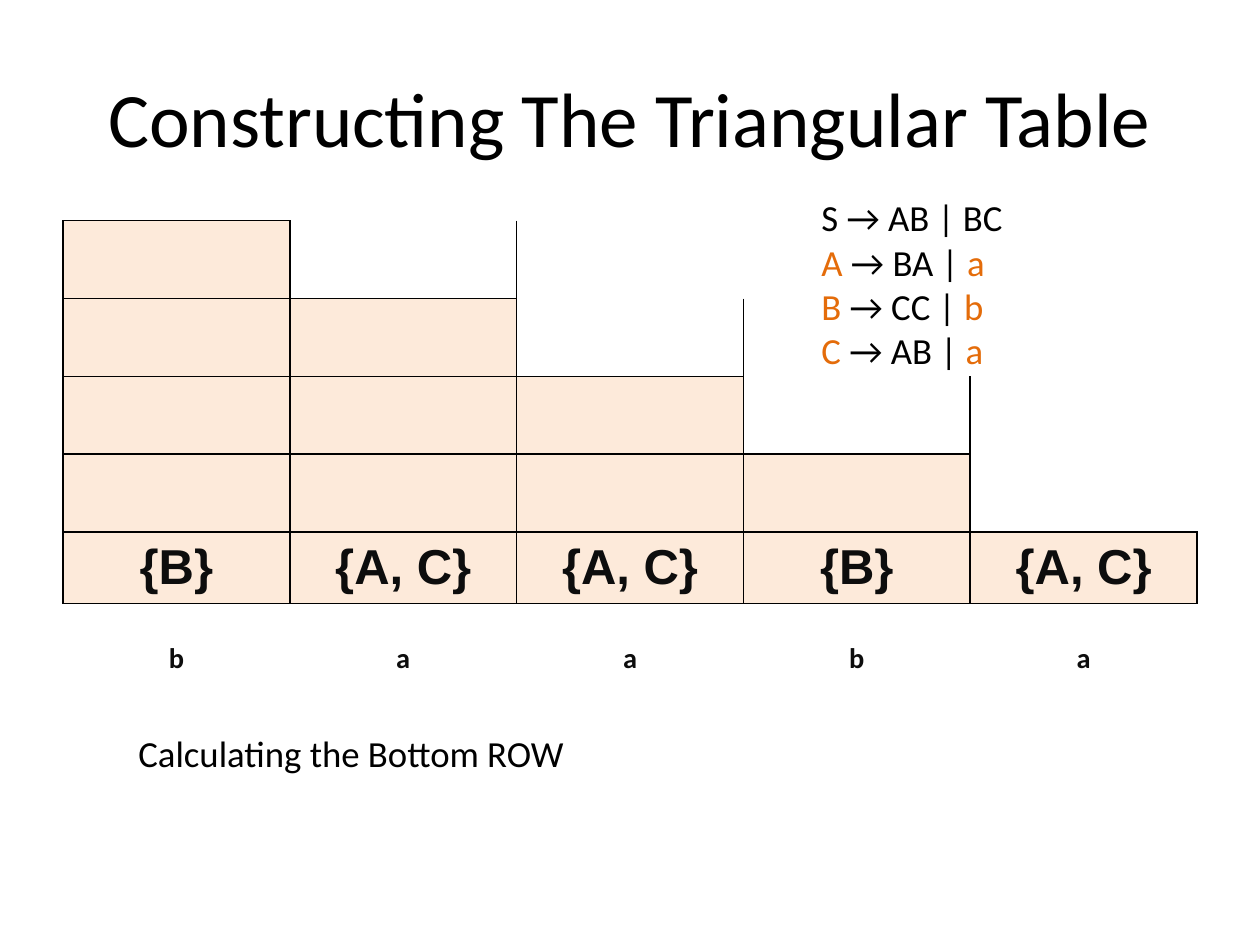
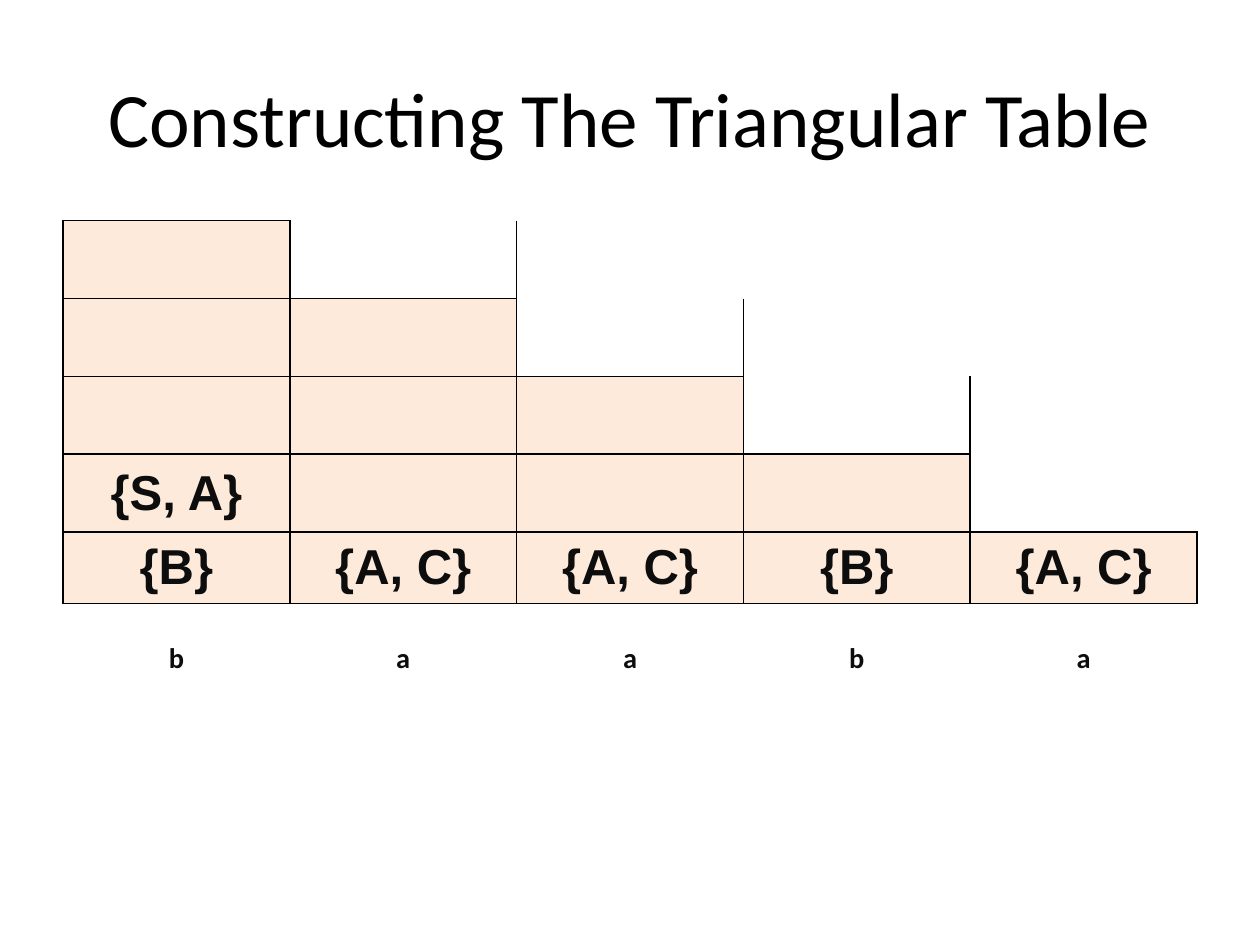
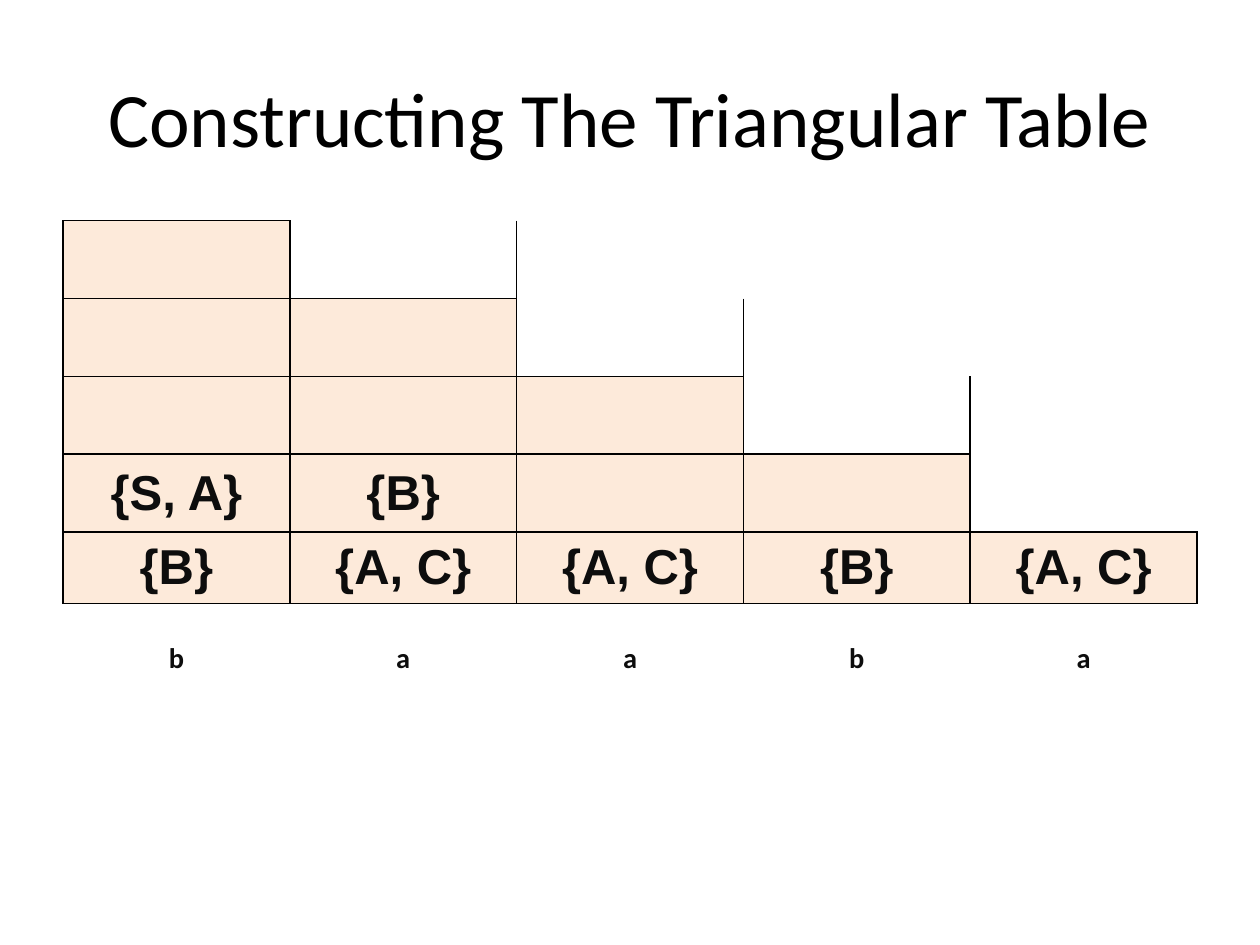
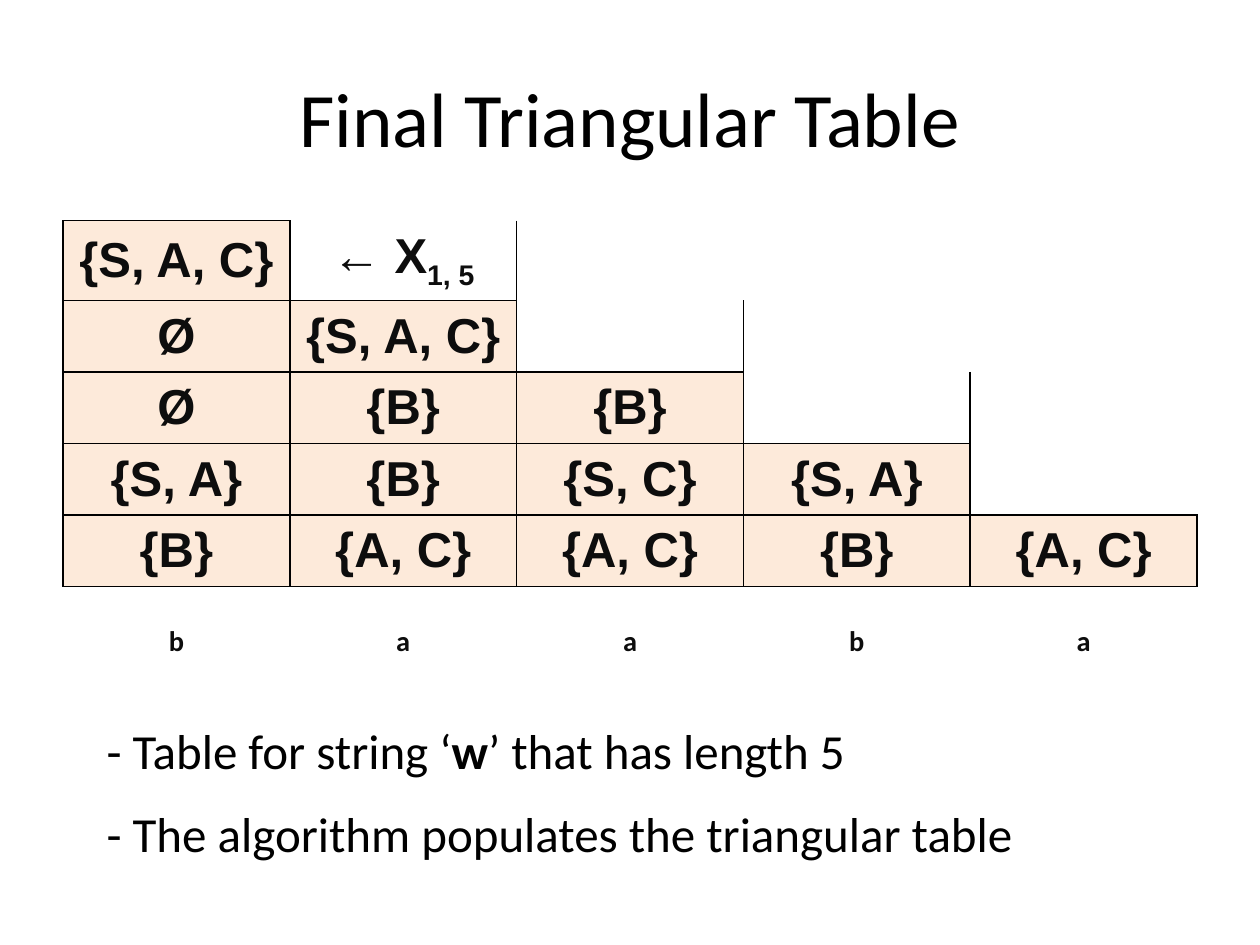
from dataclasses import dataclass
from typing import Any, Optional

import pptx
import pptx.util
from lxml import etree
from pptx.dml.color import RGBColor
from pptx.enum.text import MSO_ANCHOR, MSO_AUTO_SIZE, PP_ALIGN
from pptx.oxml.ns import qn
from pptx.util import Cm


@dataclass(frozen=True)
class Theme:
    ink: str = "000000"
    cell_ink: str = "0D0D0D"
    accent: str = "E46C0A"
    cell_fill: str = "FDEADA"
    body_font: str = "Calibri"
    set_font: str = "Arial"
    title_size: int = 44
    large_size: int = 28
    small_size: int = 21
    rule_width: int = 1


THEME = Theme()
NO_GRID_STYLE = "{2D5ABB26-0587-4C30-8999-92F81FD0307C}"
WORD = "baaba"
# Sets of variables, from the bottom row of the triangle upwards.
LEVELS = [
    ["{B}", "{A, C}", "{A, C}", "{B}", "{A, C}"],
    ["{S, A}", "{B}", "{S, C}", "{S, A}"],
    ["Ø", "{B}", "{B}"],
    ["Ø", "{S, A, C}"],
    ["{S, A, C}"],
]


@dataclass(frozen=True)
class Run:
    text: str
    color: str = THEME.ink
    bold: bool = False
    subscript: bool = False
    font: str = THEME.body_font


@dataclass(frozen=True)
class TextBox:
    left: float
    top: float
    width: float
    height: float
    size: int
    lines: list[list[Run]]
    title: bool = False
    wrap: bool = True
    level: int = 0
    space_before: int = 0


@dataclass(frozen=True)
class TriangleSlide:
    title: str
    filled: int
    boxes: tuple[TextBox, ...] = ()
    empty_size: int = 31
    corner_label: Optional[list[Run]] = None


def set_run(text: str, subscript: bool = False) -> Run:
    return Run(text, THEME.cell_ink, True, subscript, THEME.set_font)


def add_runs(p: Any, runs: list[Run], size: int) -> None:
    for run in runs:
        r = p.add_run()
        r.text = run.text
        r.font.name = run.font
        r.font.size = pptx.util.Pt(size)
        r.font.bold = run.bold
        r.font.color.rgb = RGBColor.from_string(run.color)
        if run.subscript:
            r.font._element.set("baseline", "-25000")


def add_text(s: Any, box: TextBox) -> None:
    sp = s.shapes.add_textbox(Cm(box.left), Cm(box.top), Cm(box.width), Cm(box.height))
    tf = sp.text_frame
    tf.word_wrap = box.wrap
    if box.title:
        tf.vertical_anchor = MSO_ANCHOR.MIDDLE
    else:
        tf.auto_size = MSO_AUTO_SIZE.SHAPE_TO_FIT_TEXT
    for i, runs in enumerate(box.lines):
        p = tf.add_paragraph() if i else tf.paragraphs[0]
        p.alignment = PP_ALIGN.CENTER if box.title else PP_ALIGN.LEFT
        if box.level:
            p.level = box.level
            p._p.get_or_add_pPr().set("marL", str(Cm(1.27 * box.level)))
        if i and box.space_before:
            p.space_before = pptx.util.Pt(box.space_before)
        add_runs(p, runs, box.size)


def in_triangle(row: int, col: int) -> bool:
    return 0 <= col <= row < len(WORD)


def rule_cell(cell: Any, row: int, col: int) -> None:
    """Rule each side that borders a cell of the triangle."""
    neighbours = {"L": (row, col - 1), "R": (row, col + 1),
                  "T": (row - 1, col), "B": (row + 1, col)}
    tc_pr = cell._tc.get_or_add_tcPr()
    for side, neighbour in neighbours.items():
        if in_triangle(row, col) or in_triangle(*neighbour):
            ln = etree.SubElement(tc_pr, qn(f"a:ln{side}"),
                                  w=str(pptx.util.Pt(THEME.rule_width)))
            fill = etree.SubElement(ln, qn("a:solidFill"))
            etree.SubElement(fill, qn("a:srgbClr"), val=THEME.ink)


def cell_runs(slide: TriangleSlide, row: int, col: int) -> list[Run]:
    n = len(WORD)
    if row == n:
        return [Run(WORD[col], THEME.cell_ink, True, True)]
    if (row, col) == (0, 1):
        return slide.corner_label or []
    level = n - 1 - row
    order = sum(len(sets) for sets in LEVELS[:level]) + col
    if in_triangle(row, col) and order < slide.filled:
        return [set_run(LEVELS[level][col])]
    return []


def add_triangle(s: Any, slide: TriangleSlide) -> None:
    n = len(WORD)
    table = s.shapes.add_table(n + 1, n, Cm(1.27), Cm(4.45), Cm(22.86), Cm(8.64)).table
    table.first_row = table.horz_banding = False
    table._tbl.tblPr.find(qn("a:tableStyleId")).text = NO_GRID_STYLE
    for row in range(n + 1):
        for col in range(n):
            cell = table.cell(row, col)
            cell.vertical_anchor = MSO_ANCHOR.MIDDLE
            rule_cell(cell, row, col)
            if in_triangle(row, col):
                cell.fill.solid()
                cell.fill.fore_color.rgb = RGBColor.from_string(THEME.cell_fill)
            else:
                cell.fill.background()
            p = cell.text_frame.paragraphs[0]
            p.alignment = PP_ALIGN.CENTER
            runs = cell_runs(slide, row, col)
            add_runs(p, runs, THEME.large_size)
            if not runs:
                end = etree.SubElement(p._p, qn("a:endParaRPr"),
                                       sz=str(slide.empty_size * 100))
                etree.SubElement(end, qn("a:latin"), typeface=THEME.body_font)


def production(head: str, body: str, terminal: str) -> list[Run]:
    return [Run(head, THEME.accent), Run(f" → {body} | "), Run(terminal, THEME.accent)]


GRAMMAR = TextBox(13.77, 3.81, 7.62, 3.33, THEME.small_size, [
    [Run("S → AB | BC")],
    production("A", "BA", "a"),
    production("B", "CC", "b"),
    production("C", "AB", "a"),
], level=2)
CAPTION = TextBox(2.54, 14.6, 10.8, 1.02, THEME.small_size,
                  [[Run("Calculating the Bottom ROW")]])
NOTES = TextBox(1.9, 14.4, 18.97, 2.64, THEME.large_size, [
    [Run("- Table for string ‘"), Run("w", bold=True), Run("’ that has length 5")],
    [Run("- The algorithm populates the triangular table")],
], wrap=False, space_before=14)

CONSTRUCTING = "Constructing The Triangular Table"
SLIDES = [
    TriangleSlide(CONSTRUCTING, 5, (CAPTION, GRAMMAR)),
    TriangleSlide(CONSTRUCTING, 6),
    TriangleSlide(CONSTRUCTING, 7),
    TriangleSlide("Final Triangular Table", 15, (NOTES,), THEME.large_size,
                  [set_run("← X"), set_run("1, 5", subscript=True)]),
]


def main() -> None:
    prs = pptx.Presentation()
    prs.slide_width, prs.slide_height = Cm(25.4), Cm(19.05)
    for slide in SLIDES:
        s = prs.slides.add_slide(prs.slide_layouts[6])
        add_text(s, TextBox(1.27, 0.76, 22.86, 3.18, THEME.title_size,
                            [[Run(slide.title)]], title=True))
        add_triangle(s, slide)
        for box in slide.boxes:
            add_text(s, box)
    prs.save("out.pptx")


if __name__ == "__main__":
    main()
